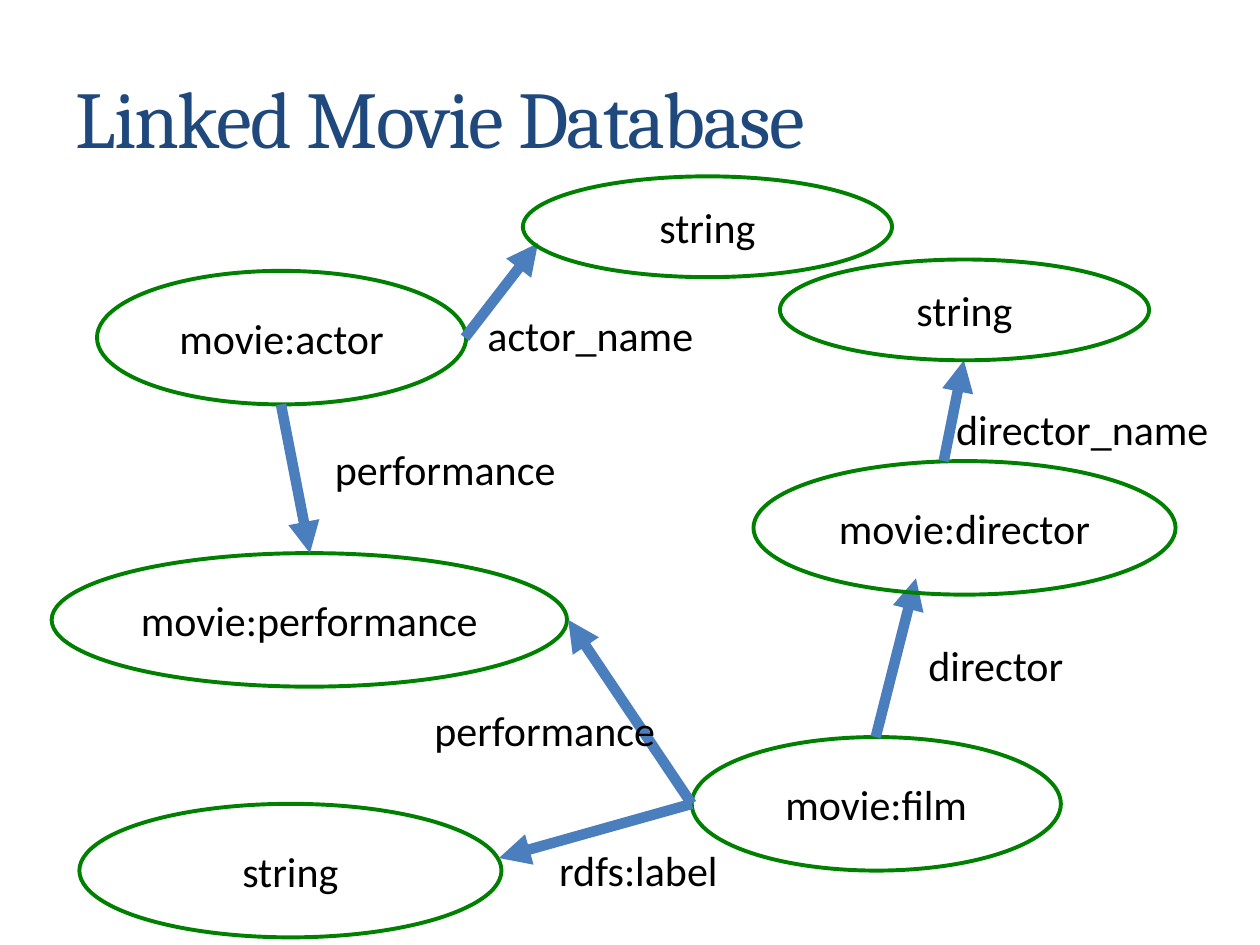
from dataclasses import dataclass

from lxml.etree import SubElement
from pptx import Presentation
from pptx.dml.color import RGBColor
from pptx.enum.shapes import MSO_CONNECTOR, MSO_SHAPE
from pptx.enum.text import MSO_ANCHOR, MSO_AUTO_SIZE, PP_ALIGN
from pptx.oxml import parse_xml
from pptx.oxml.ns import nsdecls, qn
from pptx.slide import Slide
from pptx.util import Emu, Pt

PX = 9144  # 100 px to the inch
NAVY = RGBColor(0x1F, 0x49, 0x7D)
GREEN = RGBColor(0x00, 0x80, 0x00)
BLUE = RGBColor(0x4B, 0x7E, 0xBC)
BLACK = RGBColor(0, 0, 0)


@dataclass
class Node:
    text: str
    x: int
    y: int
    w: int = 293
    h: int = 106


@dataclass
class Arrow:
    x1: int
    y1: int
    x2: int
    y2: int


@dataclass
class Label:
    text: str
    x: int
    y: int
    w: int
    h: int = 50


# Back to front
DIAGRAM = [
    Node("movie:actor", 77, 215),
    Node("movie:performance", 41, 439, w=409),
    Arrow(223, 321, 246, 439),
    Arrow(369, 268, 427, 193),
    Node("string", 415, 140, h=80),
    Node("movie:film", 549, 585),
    Arrow(549, 638, 451, 492),
    Label("actor_name", 377, 241, 185),
    Label("performance", 256, 347, 197),
    Label("performance", 335, 554, 197),
    Arrow(695, 585, 727, 459),
    Node("string", 63, 638, w=335),
    Label("director", 727, 503, 128),
    Arrow(549, 638, 396, 681),
    Node("movie:director", 598, 366, w=335),
    Label("rdfs:label", 434, 665, 147),
    Arrow(749, 366, 765, 286),
    Label("director_name", 749, 315, 223),
    Node("string", 619, 206, h=80),
]


def px(*lengths: int) -> list[Emu]:
    return [Emu(length * PX) for length in lengths]


def style_text(tf, text: str, font: str, size: int, color: RGBColor, align: PP_ALIGN):
    tf.text = text
    p = tf.paragraphs[0]
    p.alignment = align
    r = p.runs[0]
    r.font.name, r.font.size = font, Pt(size)
    r.font.color.rgb = color
    return r


def draw_title(slide: Slide, text: str) -> None:
    sp = slide.shapes.title
    sp.left, sp.top, sp.width, sp.height = px(50, 30, 901, 125)
    sp.text_frame.vertical_anchor = MSO_ANCHOR.MIDDLE
    r = style_text(sp.text_frame, text, "Cambria", 46, NAVY, PP_ALIGN.LEFT)
    r_pr = r.font._element
    r_pr.set("spc", "-100")
    r_pr.find(qn("a:solidFill")).addnext(parse_xml(
        f'<a:effectLst {nsdecls("a")}>'
        '<a:outerShdw blurRad="50800" dist="38100" dir="2700000" algn="tl">'
        '<a:srgbClr val="000000"><a:alpha val="40000"/></a:srgbClr>'
        '</a:outerShdw></a:effectLst>'))


def draw_node(slide: Slide, node: Node) -> None:
    sp = slide.shapes.add_shape(MSO_SHAPE.OVAL, *px(node.x, node.y, node.w, node.h))
    sp.shadow.inherit = False
    sp.fill.background()
    sp.line.color.rgb = GREEN
    sp.line.width = Pt(2.25)
    sp.text_frame.vertical_anchor = MSO_ANCHOR.MIDDLE
    style_text(sp.text_frame, node.text, "Calibri", 24, BLACK, PP_ALIGN.CENTER)


def draw_arrow(slide: Slide, arrow: Arrow) -> None:
    cxn = slide.shapes.add_connector(
        MSO_CONNECTOR.STRAIGHT, *px(arrow.x1, arrow.y1, arrow.x2, arrow.y2))
    cxn.line.color.rgb = BLUE
    cxn.line.width = Pt(6)
    SubElement(cxn.line._get_or_add_ln(), qn("a:tailEnd"), type="triangle")
    SubElement(cxn._element.spPr, qn("a:effectLst"))


def draw_label(slide: Slide, label: Label) -> None:
    sp = slide.shapes.add_textbox(*px(label.x, label.y, label.w, label.h))
    tf = sp.text_frame
    tf.word_wrap = False
    tf.auto_size = MSO_AUTO_SIZE.SHAPE_TO_FIT_TEXT
    style_text(tf, label.text, "Calibri", 24, BLACK, PP_ALIGN.LEFT)


def main() -> None:
    prs = Presentation()
    prs.slide_width, prs.slide_height = px(1000, 750)
    slide = prs.slides.add_slide(prs.slide_layouts[5])
    draw_title(slide, "Linked Movie Database")
    draw = {Node: draw_node, Arrow: draw_arrow, Label: draw_label}
    for item in DIAGRAM:
        draw[type(item)](slide, item)
    prs.save("out.pptx")


if __name__ == "__main__":
    main()
